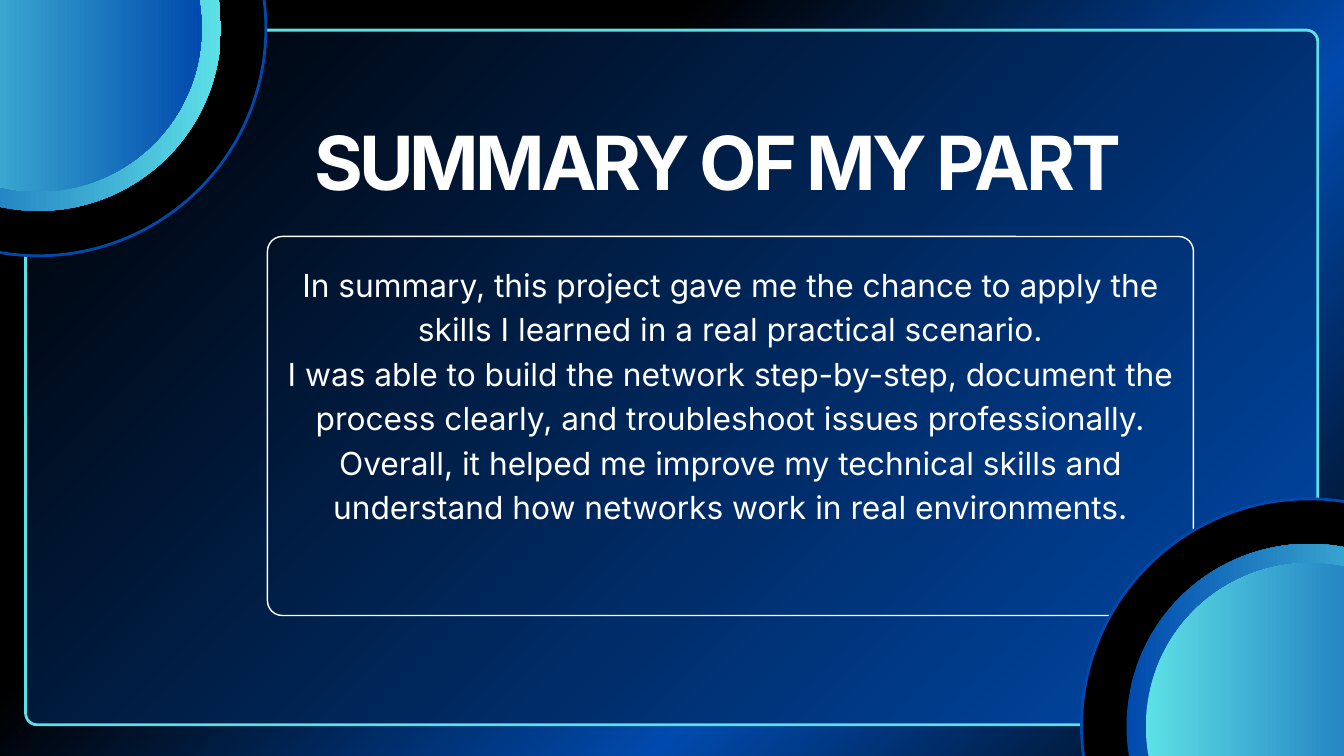
from pptx import Presentation
from pptx.dml.color import RGBColor
from pptx.enum.shapes import MSO_SHAPE
from pptx.enum.text import MSO_ANCHOR, PP_ALIGN
from pptx.oxml import parse_xml
from pptx.oxml.ns import nsdecls, qn
from pptx.util import Cm, Pt

ROUNDED = MSO_SHAPE.ROUNDED_RECTANGLE
OVAL = MSO_SHAPE.OVAL
CENTER = PP_ALIGN.CENTER
TOP = MSO_ANCHOR.TOP
MIDDLE = MSO_ANCHOR.MIDDLE

BLACK = RGBColor(0x00, 0x00, 0x00)
WHITE = RGBColor(0xFF, 0xFF, 0xFF)
BLUE = RGBColor(0x00, 0x4A, 0xAD)
CYAN = RGBColor(0x5D, 0xE0, 0xE6)

FONT = "Inter"
RADIAL = ('<a:path path="circle"><a:fillToRect l="0" t="0" r="100000" b="100000"/>'
          '</a:path>')
LINEAR = '<a:lin ang="0" scaled="0"/>'

TITLE = "SUMMARY OF MY PART"
SUMMARY = [
    "In summary, this project gave me the chance to apply the skills I learned "
    "in a real practical scenario.",
    "I was able to build the network step-by-step, document the process clearly, "
    "and troubleshoot issues professionally.",
    "Overall, it helped me improve my technical skills and understand how "
    "networks work in real environments.",
]
CORNER_CENTERS = [(49.48, 27.46), (1.45, 1.07)]


def set_gradient(fill, properties, stops, direction):
    """Fill with a gradient; stops are (percent, colour) pairs."""
    fill.solid()
    stop_list = "".join(
        f'<a:gs pos="{percent * 1000}"><a:srgbClr val="{color}"/></a:gs>'
        for percent, color in stops)
    gradient = parse_xml(
        f'<a:gradFill {nsdecls("a")} rotWithShape="1">'
        f'<a:gsLst>{stop_list}</a:gsLst>{direction}</a:gradFill>')
    properties.replace(properties.find(qn("a:solidFill")), gradient)


def add_outlined_shape(slide, kind, left, top, width, height, line=None, line_width=3):
    shape = slide.shapes.add_shape(kind, Cm(left), Cm(top), Cm(width), Cm(height))
    shape.shadow.inherit = False
    shape.fill.background()
    if line is None:
        shape.line.fill.background()
    else:
        shape.line.color.rgb = line
        shape.line.width = Pt(line_width)
    return shape


def add_panel(slide, left, top, width, height, radius, line, line_width):
    panel = add_outlined_shape(slide, ROUNDED, left, top, width, height, line, line_width)
    panel.adjustments[0] = radius / min(width, height)
    return panel


def add_circle(slide, center, radius, line=None):
    x, y = center
    return add_outlined_shape(
        slide, OVAL, x - radius, y - radius, 2 * radius, 2 * radius, line)


def add_corner_rings(slide, center):
    add_disc = add_circle(slide, center, 8.6, BLUE)
    add_disc.fill.solid()
    add_disc.fill.fore_color.rgb = BLACK
    for radius, start, end in [(6.9, BLUE, CYAN), (6.17, CYAN, BLUE)]:
        circle = add_circle(slide, center, radius)
        set_gradient(circle.fill, circle.element.spPr, [(0, start), (100, end)], LINEAR)


def add_text(slide, left, top, width, height, lines, size, spacing,
             bold=False, anchor=TOP, inset=0, bottom_inset=0):
    box = slide.shapes.add_textbox(Cm(left), Cm(top), Cm(width), Cm(height))
    frame = box.text_frame
    frame.word_wrap = True
    frame.vertical_anchor = anchor
    frame.margin_left = frame.margin_right = frame.margin_top = Cm(inset)
    frame.margin_bottom = Cm(bottom_inset)
    frame.text = "\n".join(lines)
    for paragraph in frame.paragraphs:
        paragraph.alignment = CENTER
        paragraph.line_spacing = Pt(spacing)
        paragraph.font.name = FONT
        paragraph.font.size = Pt(size)
        paragraph.font.bold = bold
        paragraph.font.color.rgb = WHITE
    return box


def set_letter_spacing(box, points):
    for run in box.element.iter(qn("a:r")):
        run.get_or_add_rPr().set("spc", str(round(points * 100)))


def main():
    presentation = Presentation()
    presentation.slide_width = Cm(50.8)
    presentation.slide_height = Cm(28.58)
    slide = presentation.slides.add_slide(presentation.slide_layouts[6])

    # Background and framed panel
    background_fill = slide.background.fill
    background_fill.solid()
    set_gradient(background_fill, next(slide.element.iter(qn("p:bgPr"))),
                 [(0, BLACK), (33, BLACK), (67, BLUE), (100, BLACK)], RADIAL)
    frame = add_panel(slide, 0.97, 1.14, 48.84, 26.26, 0.43, CYAN, 3)
    set_gradient(frame.fill, frame.element.spPr, [(0, BLACK), (100, BLUE)], RADIAL)

    # Summary box; the deep bottom inset lifts the centred text
    add_panel(slide, 10.11, 8.94, 35, 14.33, 0.56, WHITE, 1.5)
    add_text(slide, 10.11, 8.13, 35, 15.11, SUMMARY, 34, 47.6,
             anchor=MIDDLE, inset=0.15, bottom_inset=1.83)

    # Corner rings
    for center in CORNER_CENTERS:
        add_corner_rings(slide, center)

    # Title
    title = add_text(slide, 11.71, 5.16, 30.86, 2.82, [TITLE], 80, 73.6, bold=True)
    set_letter_spacing(title, -4.3)

    presentation.save("out.pptx")


if __name__ == "__main__":
    main()
